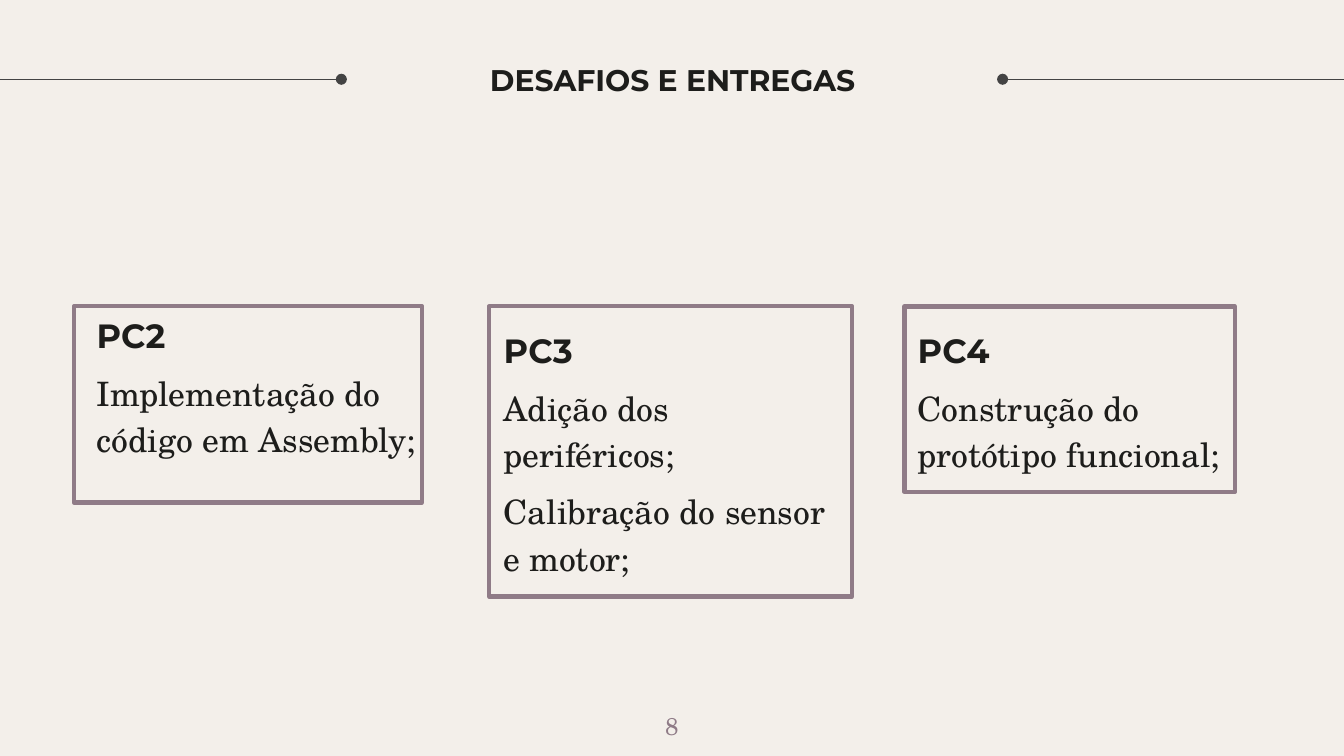
"""Build the "Desafios e entregas" slide with three delivery cards."""
import pptx
import pptx.util
import pptx.dml.color
import pptx.enum.shapes
import pptx.enum.text
import pptx.oxml
import pptx.oxml.ns

Inches = pptx.util.Inches
Pt = pptx.util.Pt
RGBColor = pptx.dml.color.RGBColor
Align = pptx.enum.text.PP_ALIGN
Anchor = pptx.enum.text.MSO_ANCHOR

BACKGROUND = RGBColor(0xF3, 0xEF, 0xEA)
INK = RGBColor(0x1D, 0x1D, 0x1B)
MAUVE = RGBColor(0x8F, 0x7B, 0x87)
RULE_GRAY = RGBColor(0x43, 0x43, 0x43)
HEADING_FONT = "Montserrat"
BODY_FONT = "TeX Gyre Schola"
NAMESPACE = pptx.oxml.ns.nsdecls("a")


def add_paragraph(frame, text, font=BODY_FONT, size=18, color=INK, bold=False,
                  align=Align.LEFT, spacing=1.0, before=0):
    paragraph = frame.paragraphs[0] if not frame.text else frame.add_paragraph()
    paragraph.alignment = align
    paragraph.line_spacing = spacing
    paragraph.space_before = Pt(before)
    run = paragraph.add_run()
    run.text = text
    run.font.name = font
    run.font.size = Pt(size)
    run.font.bold = bold
    run.font.color.rgb = color


def prepare_frame(shape, anchor=Anchor.TOP):
    frame = shape.text_frame
    frame.word_wrap = True
    frame.auto_size = pptx.enum.text.MSO_AUTO_SIZE.NONE
    frame.vertical_anchor = anchor
    frame.margin_left = frame.margin_right = Inches(0.1)
    frame.margin_top = frame.margin_bottom = Inches(0.1)
    return frame


presentation = pptx.Presentation()
presentation.slide_width = Inches(10)
presentation.slide_height = presentation.slide_width * 9 // 16
slide = presentation.slides.add_slide(presentation.slide_layouts[5])
slide.background.fill.solid()
slide.background.fill.fore_color.rgb = BACKGROUND

for start, end in [(2.54, -0.03), (7.46, 10.01)]:
    rule = slide.shapes.add_connector(
        pptx.enum.shapes.MSO_CONNECTOR.STRAIGHT,
        Inches(start), Inches(0.59), Inches(end), Inches(0.59))
    rule.line.color.rgb = RULE_GRAY
    rule.line.width = Pt(0.75)
    properties = rule._element.spPr
    outline = properties.find(pptx.oxml.ns.qn("a:ln"))
    outline.append(pptx.oxml.parse_xml(f'<a:headEnd {NAMESPACE} type="oval"/>'))
    properties.append(pptx.oxml.parse_xml(f"<a:effectLst {NAMESPACE}/>"))

title = slide.shapes.title
title.left, title.top = Inches(2.54), Inches(0.12)
title.width, title.height = Inches(4.93), Inches(0.94)
add_paragraph(prepare_frame(title, Anchor.MIDDLE), "DESAFIOS E ENTREGAS",
              font=HEADING_FONT, size=16, bold=True, align=Align.CENTER)

cards = [
    ((0.55, 2.59, 1.46), (0.62, 2.2, 2.79, 1.46), "PC2",
     ["Implementação do código em Assembly;"]),
    ((3.64, 2.7, 2.16), (3.65, 2.31, 2.7, 2), "PC3",
     ["Adição dos periféricos;", "Calibração do sensor e motor;"]),
    ((6.73, 2.46, 1.38), (6.73, 2.31, 2.59, 1.78), "PC4",
     ["Construção do protótipo funcional;"]),
]
for (left, width, height), text_area, heading, deliveries in cards:
    border = slide.shapes.add_shape(
        pptx.enum.shapes.MSO_SHAPE.RECTANGLE,
        Inches(left), Inches(2.28), Inches(width), Inches(height))
    border.shadow.inherit = False
    border.fill.background()
    border.line.color.rgb = MAUVE
    border.line.width = Pt(2.25)

    text_box = slide.shapes.add_textbox(*[Inches(length) for length in text_area])
    frame = prepare_frame(text_box)
    add_paragraph(frame, heading, font=HEADING_FONT, bold=True, spacing=1.15, before=6)
    for delivery in deliveries:
        add_paragraph(frame, delivery, spacing=1.15, before=6)

page_number = slide.shapes.add_textbox(Inches(4.7), Inches(5.19), Inches(0.6), Inches(0.43))
add_paragraph(prepare_frame(page_number), "8", size=13, color=MAUVE, align=Align.CENTER)

presentation.save("out.pptx")
